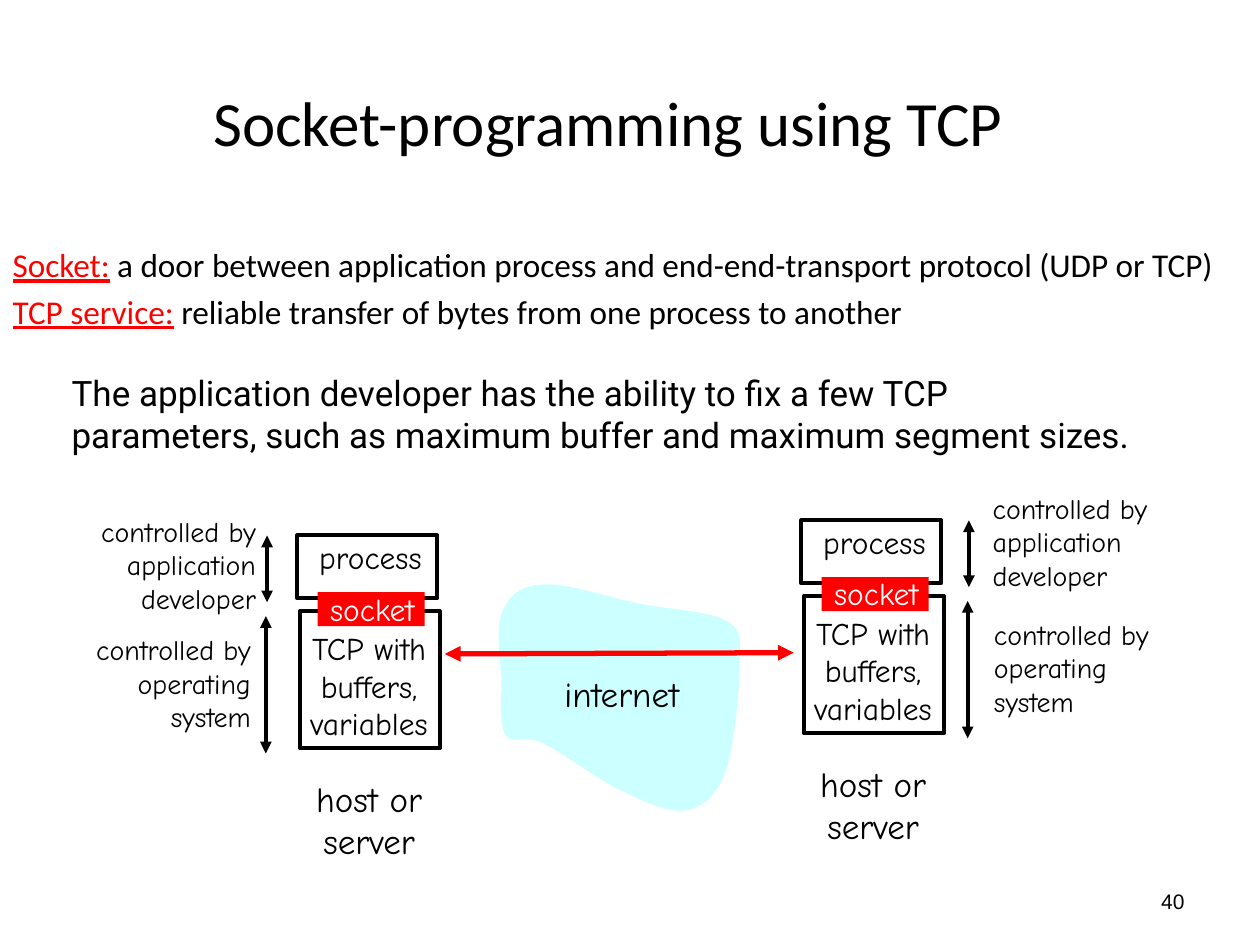
from lxml import etree
from pptx import Presentation
from pptx.dml.color import RGBColor
from pptx.enum import shapes, text
from pptx.oxml.ns import qn
from pptx.util import Inches, Pt

COLORS = {name: RGBColor.from_string(code) for name, code in {
    "black": "000000", "white": "FFFFFF", "red": "FF0000", "cloud": "CCFFFF"}.items()}
LEFT, CENTER, RIGHT = text.PP_ALIGN.LEFT, text.PP_ALIGN.CENTER, text.PP_ALIGN.RIGHT

prs = Presentation()
prs.slide_width, prs.slide_height = Inches(10), Inches(7.5)
slide = prs.slides.add_slide(prs.slide_layouts[1])


def add_label(parent, box, lines, size, align=CENTER, color="black", font="Comic Neue", wrap=False):
    label = parent.add_textbox(*map(Inches, box))
    frame = label.text_frame
    frame.word_wrap = wrap
    frame.auto_size = text.MSO_AUTO_SIZE.SHAPE_TO_FIT_TEXT
    frame.vertical_anchor = text.MSO_ANCHOR.MIDDLE
    frame.text = "\n".join(lines)
    for paragraph in frame.paragraphs:
        paragraph.alignment = align
        paragraph.font.size = Pt(size)
        paragraph.font.name = font
        paragraph.font.color.rgb = COLORS[color]


def add_double_arrow(start, end, color, width):
    arrow = slide.shapes.add_connector(
        shapes.MSO_CONNECTOR.STRAIGHT, *map(Inches, start + end))
    arrow.line.color.rgb = COLORS[color]
    arrow.line.width = Pt(width)
    line_xml = arrow.line._get_or_add_ln()
    for tip in ("a:headEnd", "a:tailEnd"):
        etree.SubElement(line_xml, qn(tip), type="triangle")
    etree.SubElement(arrow._element.spPr, qn("a:effectLst"))


title = slide.shapes.title
title.left, title.top, title.width, title.height = map(Inches, (0.45, 0.64, 8.75, 0.64))
title.text_frame.text = "Socket-programming using TCP"
title.text_frame.auto_size = text.MSO_AUTO_SIZE.NONE
title.text_frame.vertical_anchor = text.MSO_ANCHOR.MIDDLE
heading = title.text_frame.paragraphs[0]
heading.alignment = CENTER
heading.font.size = Pt(36)
heading.font.name = "Calibri"
heading.font.color.rgb = COLORS["black"]

definitions = slide.placeholders[1]
definitions.left, definitions.top, definitions.width, definitions.height = map(
    Inches, (0, 1.89, 10, 1))
definitions.text_frame.auto_size = text.MSO_AUTO_SIZE.NONE
terms = [
    ("Socket:", " a door between application process and end-end-transport protocol (UDP or TCP)"),
    ("TCP service:", " reliable transfer of bytes from one process to another"),
]
for index, (term, meaning) in enumerate(terms):
    frame = definitions.text_frame
    paragraph = frame.add_paragraph() if index else frame.paragraphs[0]
    paragraph.space_before = Pt(4 if index else 0)
    properties = paragraph._p.get_or_add_pPr()
    properties.set("marL", str(Inches(0.38)))
    properties.set("indent", str(Inches(-0.38)))
    etree.SubElement(properties, qn("a:buNone"))
    paragraph.font.size = Pt(19)
    paragraph.font.name = "Calibri"
    for words, color in ((term, "red"), (meaning, "black")):
        run = paragraph.add_run()
        run.text = words
        run.font.color.rgb = COLORS[color]
        run.font.underline = color == "red"

add_label(slide.shapes, (0.47, 2.9, 8.66, 0.77),
          ["The application developer has the ability to fix a few TCP parameters, "
           "such as maximum buffer and maximum segment sizes."],
          20, LEFT, font="Roboto", wrap=True)

cloud_start = (4.3, 4.64)
cloud_curves = [
    ((4.12, 4.65), (4.04, 4.73), (3.99, 4.85)),
    ((3.93, 4.98), (3.97, 5.22), (3.98, 5.39)),
    ((3.98, 5.55), (3.96, 5.75), (4.01, 5.83)),
    ((4.07, 5.92), (4.16, 5.82), (4.31, 5.9)),
    ((4.46, 5.97), (4.73, 6.18), (4.92, 6.27)),
    ((5.11, 6.36), (5.31, 6.46), (5.45, 6.43)),
    ((5.59, 6.4), (5.69, 6.31), (5.76, 6.12)),
    ((5.83, 5.92), (5.87, 5.47), (5.87, 5.27)),
    ((5.87, 5.08), (5.9, 5.01), (5.77, 4.93)),
    ((5.64, 4.85), (5.32, 4.84), (5.07, 4.79)),
    ((4.83, 4.74), (4.48, 4.62), (4.3, 4.64)),
]
outline = []
STEPS = 10
anchor = cloud_start
for curve in cloud_curves:
    for step in range(1, STEPS + 1):
        t = step / STEPS
        weights = ((1 - t) ** 3, 3 * t * (1 - t) ** 2, 3 * t ** 2 * (1 - t), t ** 3)
        outline.append(tuple(
            Inches(sum(w * c for w, c in zip(weights, axis)))
            for axis in zip(anchor, *curve)))
    anchor = curve[-1]
builder = slide.shapes.build_freeform(*map(Inches, cloud_start))
builder.add_line_segments(outline, close=True)
cloud = builder.convert_to_shape()
cloud.shadow.inherit = False
cloud.fill.solid()
cloud.fill.fore_color.rgb = COLORS["cloud"]
cloud.line.fill.background()
add_label(slide.shapes, (4.3, 5.29, 1.27, 0.43), ["internet"], 20)
add_double_arrow((6.3, 5.18), (3.53, 5.19), "red", 3)

hosts = [
    (2.31, 4.22, RIGHT, (0.57, 4.03), (0.53, 4.97), 2.12),
    (6.31, 4.1, LEFT, (7.78, 3.85), (7.79, 4.85), 7.69),
]
for x, y, align, developer_at, system_at, arrow_x in hosts:
    host = slide.shapes.add_group_shape().shapes
    for box, fill, outlined in [
        ((x + 0.05, y + 0.03, 1.11, 0.5), "white", True),
        ((x + 0.07, y + 0.63, 1.11, 1.09), None, True),
        ((x + 0.21, y + 0.48, 0.85, 0.27), "red", False),
    ]:
        block = host.add_shape(shapes.MSO_SHAPE.RECTANGLE, *map(Inches, box))
        block.shadow.inherit = False
        if fill:
            block.fill.solid()
            block.fill.fore_color.rgb = COLORS[fill]
        else:
            block.fill.background()
        if outlined:
            block.line.color.rgb = COLORS["black"]
            block.line.width = Pt(2.25)
        else:
            block.line.fill.background()
    add_label(host, (x + 0.08, y, 1.1, 0.4), ["process"], 18)
    add_label(host, (x, y + 0.72, 1.24, 1), ["TCP with", "buffers,", "variables"], 18)
    add_label(host, (x + 0.16, y + 0.41, 0.97, 0.4), ["socket"], 18, color="white")
    add_label(slide.shapes, (x + 0.05, y + 1.9, 1.14, 0.77), ["host or", "server"], 20)

    for place, controller in (
        (developer_at, ["application", "developer"]),
        (system_at, ["operating", "system"]),
    ):
        add_label(slide.shapes, place + (1.56, 0.9), ["controlled by"] + controller, 16, align)
    add_double_arrow((arrow_x, y + 0.56), (arrow_x, y + 0.03), "black", 2.25)
    add_double_arrow((arrow_x - 0.01, y + 1.76), (arrow_x - 0.01, y + 0.67), "black", 2.25)

add_label(slide.shapes, (7.17, 6.95, 2.33, 0.4), ["40"], 12, RIGHT, font="Arial", wrap=True)

prs.save("out.pptx")
